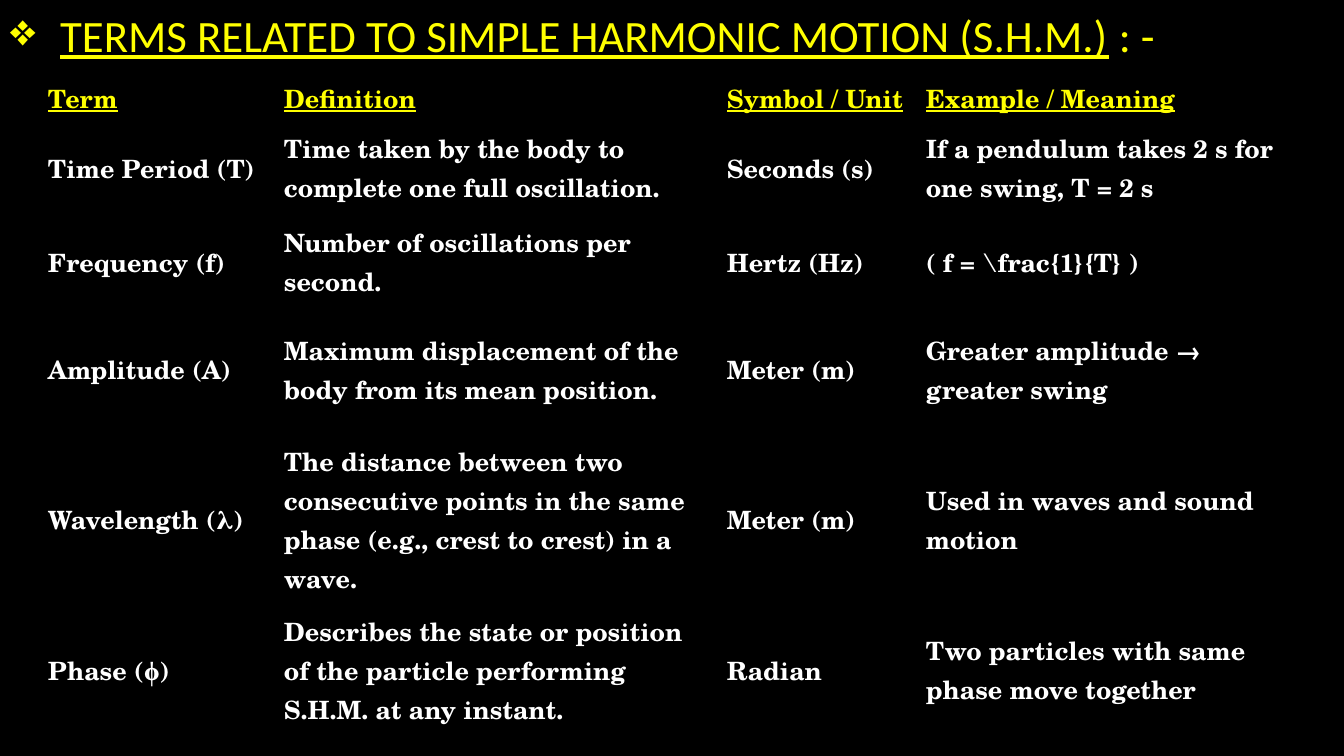
from dataclasses import dataclass

import lxml.etree
import pptx
import pptx.dml.color
import pptx.enum.text
import pptx.oxml.ns
import pptx.util

SLIDE_WIDTH, SLIDE_HEIGHT = 1344, 756
EMU_PER_PX = 12192000 / SLIDE_WIDTH
TITLE_ONLY_LAYOUT = 5
PLAIN_TABLE_STYLE = "{2D5ABB26-0587-4C30-8999-92F81FD0307C}"
COLORS = {"background": "000000", "heading": "FFFF00", "body": "FFFFFF"}
TITLE_FONT = "Calibri"
TABLE_FONT = "TeX Gyre Schola"

TABLE_LEFT, TABLE_TOP = 42, 76
COLUMN_WIDTHS = (236, 443, 199, 374)
HEADINGS = ("Term", "Definition", "Symbol / Unit", "Example / Meaning")
HEADING_HEIGHT = 37


@dataclass(frozen=True)
class Term:
    name: str
    definition: str
    unit: str
    example: str
    height: int


TERMS = (
    Term("Time Period (T)", "Time taken by the body to complete one full oscillation.",
         "Seconds (s)", "If a pendulum takes 2 s for one swing, T = 2 s", 94),
    Term("Frequency (f)", "Number of oscillations per second.",
         "Hertz (Hz)", r"( f = \frac{1}{T} )", 94),
    Term("Amplitude (A)", "Maximum displacement of the body from its mean position.",
         "Meter (m)", "Greater amplitude → greater swing", 122),
    Term("Wavelength (λ)",
         "The distance between two consecutive points in the same phase "
         "(e.g., crest to crest) in a wave.",
         "Meter (m)", "Used in waves and sound motion", 178),
    Term("Phase (ϕ)",
         "Describes the state or position of the particle performing S.H.M. at any instant.",
         "Radian", "Two particles with same phase move together", 122),
)


def px(length: int) -> pptx.util.Emu:
    return pptx.util.Emu(round(length * EMU_PER_PX))


def rgb(name: str) -> pptx.dml.color.RGBColor:
    return pptx.dml.color.RGBColor.from_string(COLORS[name])


def format_run(run, font_name: str, size: int, color: str, bold: bool, underline: bool) -> None:
    run.font.name = font_name
    run.font.size = pptx.util.Pt(size)
    run.font.color.rgb = rgb(color)
    run.font.bold = bold
    run.font.underline = underline


def add_bullet(paragraph, character: str, indent: int) -> None:
    properties = paragraph._p.get_or_add_pPr()
    properties.set("marL", str(px(indent)))
    properties.set("indent", str(-px(indent)))
    bullet = lxml.etree.SubElement(properties, pptx.oxml.ns.qn("a:buChar"))
    bullet.set("char", character)


def write_title(slide) -> None:
    title = slide.shapes.title
    title.left, title.top = px(0), px(0)
    title.width, title.height = px(SLIDE_WIDTH), px(TABLE_TOP)
    text_frame = title.text_frame
    text_frame.auto_size = pptx.enum.text.MSO_AUTO_SIZE.NONE
    text_frame.vertical_anchor = pptx.enum.text.MSO_ANCHOR.MIDDLE
    paragraph = text_frame.paragraphs[0]
    paragraph.alignment = pptx.enum.text.PP_ALIGN.LEFT
    paragraph.line_spacing = 0.9
    add_bullet(paragraph, "❖", 50)
    for text, underline in (
        ("TERMS RELATED TO SIMPLE HARMONIC MOTION (S.H.M.)", True),
        (" : -", False),
    ):
        run = paragraph.add_run()
        run.text = text
        format_run(run, TITLE_FONT, 32, "heading", False, underline)


def write_cell(cell, text: str, is_heading: bool) -> None:
    cell.fill.background()
    cell.vertical_anchor = pptx.enum.text.MSO_ANCHOR.MIDDLE
    cell.margin_left = cell.margin_right = px(6)
    cell.margin_top = cell.margin_bottom = px(3)
    cell.text_frame.text = text
    run = cell.text_frame.paragraphs[0].runs[0]
    format_run(run, TABLE_FONT, 18, "heading" if is_heading else "body", True, is_heading)


def add_terms_table(slide) -> None:
    rows = [HEADINGS] + [(term.name, term.definition, term.unit, term.example) for term in TERMS]
    heights = [HEADING_HEIGHT] + [term.height for term in TERMS]
    frame = slide.shapes.add_table(
        len(rows), len(COLUMN_WIDTHS), px(TABLE_LEFT), px(TABLE_TOP),
        px(sum(COLUMN_WIDTHS)), px(sum(heights)),
    )
    table = frame.table
    table.horz_banding = False
    table._tbl.tblPr.find(pptx.oxml.ns.qn("a:tableStyleId")).text = PLAIN_TABLE_STYLE
    for column, width in zip(table.columns, COLUMN_WIDTHS):
        column.width = px(width)
    for row_index, (texts, height) in enumerate(zip(rows, heights)):
        table.rows[row_index].height = px(height)
        for column_index, text in enumerate(texts):
            write_cell(table.cell(row_index, column_index), text, row_index == 0)


def main() -> None:
    presentation = pptx.Presentation()
    presentation.slide_width = px(SLIDE_WIDTH)
    presentation.slide_height = px(SLIDE_HEIGHT)
    slide = presentation.slides.add_slide(presentation.slide_layouts[TITLE_ONLY_LAYOUT])
    slide.background.fill.solid()
    slide.background.fill.fore_color.rgb = rgb("background")
    write_title(slide)
    add_terms_table(slide)
    presentation.save("out.pptx")


if __name__ == "__main__":
    main()
